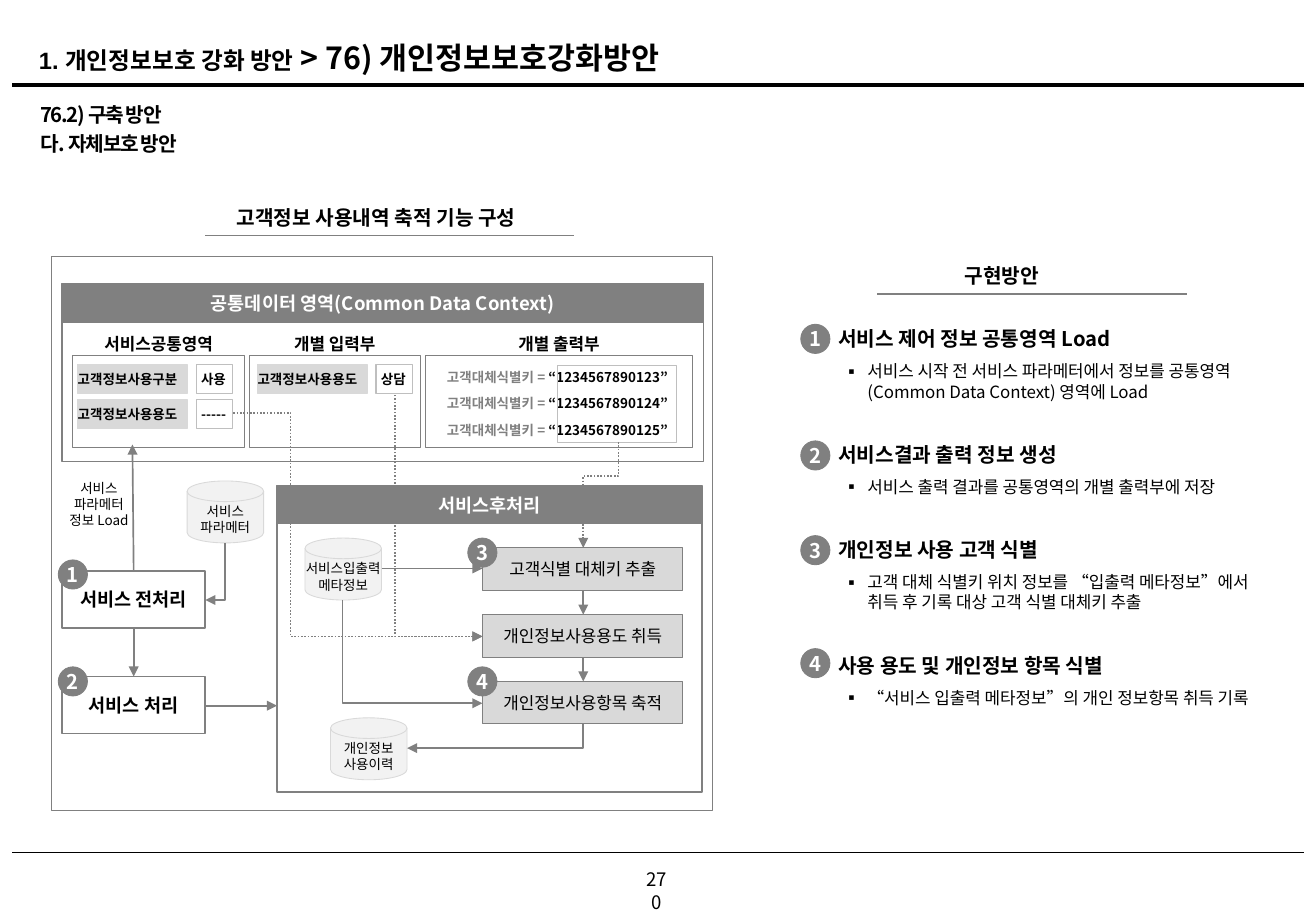
from lxml import etree
from pptx import Presentation
from pptx.dml.color import RGBColor
from pptx.enum.dml import MSO_LINE
from pptx.enum.shapes import MSO_CONNECTOR, MSO_SHAPE
from pptx.enum.text import MSO_ANCHOR, MSO_AUTO_SIZE, PP_ALIGN
from pptx.oxml.ns import qn
from pptx.util import Inches, Pt

LEFT, CENTER = PP_ALIGN.LEFT, PP_ALIGN.CENTER
TOP, MIDDLE = MSO_ANCHOR.TOP, MSO_ANCHOR.MIDDLE
RECTANGLE, OVAL, CAN = MSO_SHAPE.RECTANGLE, MSO_SHAPE.OVAL, MSO_SHAPE.FLOWCHART_MAGNETIC_DISK
STRAIGHT, ELBOW = MSO_CONNECTOR.STRAIGHT, MSO_CONNECTOR.ELBOW
DOTTED = MSO_LINE.ROUND_DOT
COLORS = {"black": "000000", "white": "FFFFFF", "gray": "808080",
          "silver": "BFBFBF", "light": "D9D9D9", "pale": "F2F2F2"}
FONT, LATIN_FONT = "Noto Sans CJK KR", "Arial"
COLUMNS, ROWS = 108.3, 75


def color(name):
    return RGBColor.from_string(COLORS[name])


class Board:
    def __init__(self, presentation):
        self.slide = presentation.slides.add_slide(presentation.slide_layouts[5])
        self.shapes = self.slide.shapes
        self.column = presentation.slide_width / COLUMNS
        self.row = presentation.slide_height / ROWS

    def place(self, *values):
        units = (self.column, self.row) * 2
        return [round(value * unit) for value, unit in zip(values, units)]

    def style(self, run, size, ink="black", bold=False, font=FONT):
        run.font.name = font
        run.font.size = Pt(size)
        run.font.bold = bold
        run.font.color.rgb = color(ink)
        etree.SubElement(run.font._element, qn("a:ea")).set("typeface", font)

    def label(self, shape, lines, size, ink="black", bold=False, align=CENTER,
              anchor=TOP, wrap=False, inset=1, before=0):
        frame = shape.text_frame
        frame.auto_size = MSO_AUTO_SIZE.NONE
        frame.word_wrap = wrap
        frame.vertical_anchor = anchor
        frame.margin_left = frame.margin_right = round(inset * self.column)
        frame.text = "\n".join(lines)
        for index, paragraph in enumerate(frame.paragraphs):
            paragraph.alignment = align
            paragraph.space_before = Pt(before if index else 0)
            for run in paragraph.runs:
                self.style(run, size, ink, bold)
        return frame

    def text(self, box, lines, size, **options):
        return self.label(self.shapes.add_textbox(*self.place(*box)), lines, size, **options)

    def shape(self, box, fill=None, line="gray", width=0.5, kind=RECTANGLE):
        shape = self.shapes.add_shape(kind, *self.place(*box))
        shape.shadow.inherit = False
        if fill:
            shape.fill.solid()
            shape.fill.fore_color.rgb = color(fill)
        else:
            shape.fill.background()
        shape.line.color.rgb = color(line)
        shape.line.width = Pt(width)
        return shape

    def box(self, box, caption, size, fill=None, width=0.5, ink="black", bold=False):
        self.label(self.shape(box, fill, width=width), [caption], size, ink=ink,
                   bold=bold, anchor=MIDDLE, wrap=True)

    def field(self, left, top, caption, value):
        name = self.shape((left, top, 9, 2.4), "light", "light", 0.75)
        self.label(name, [caption], 8, bold=True, align=LEFT, anchor=MIDDLE, inset=0)
        entry = self.shape((left + 9.75, top, 3, 2.4), None, "silver", 0.75)
        self.label(entry, [value], 8, bold=True, align=LEFT, anchor=MIDDLE, inset=0.4)

    def badge(self, left, top, number):
        circle = self.shape((left, top, 2.4, 2.4), "gray", kind=OVAL)
        self.label(circle, [str(number)], 12, ink="white", bold=True, anchor=MIDDLE, inset=0)

    def cylinder(self, left, top, lines):
        self.shape((left, top, 6.3, 5.1), "pale", "light", kind=CAN)
        self.text((left - 1.2, top + 1.35, 8.7, 3.7), lines, 8)

    def line(self, start, end, width=1, ink="gray", arrow=None, dash=None, kind=STRAIGHT):
        connector = self.shapes.add_connector(kind, *self.place(*start, *end))
        connector.line.color.rgb = color(ink)
        connector.line.width = Pt(width)
        if dash:
            connector.line.dash_style = dash
        properties = connector._element.spPr
        if arrow:
            etree.SubElement(properties.find(qn("a:ln")), qn("a:" + arrow)).set("type", "triangle")
        etree.SubElement(properties, qn("a:effectLst"))
        return properties

    def arrow(self, start, end):
        self.line(start, end, arrow="tailEnd")

    def corner(self, start, end, dash=None):
        properties = self.line(end, start, arrow="headEnd", dash=dash, kind=ELBOW)
        properties.find(qn("a:prstGeom")).set("prst", "bentConnector2")

    def step(self, start, end, share, vertical=False):
        if vertical:
            middle_x, middle_y = (start[0] + end[0]) / 2, (start[1] + end[1]) / 2
            reach, drop = (end[1] - start[1]) / 2, (start[0] - end[0]) / 2
            start, end = (middle_x - reach, middle_y - drop), (middle_x + reach, middle_y + drop)
        properties = self.line(start, end, arrow="tailEnd", dash=DOTTED, kind=ELBOW)
        if vertical:
            properties.find(qn("a:xfrm")).set("rot", "5400000")
        guides = properties.find(qn("a:prstGeom")).find(qn("a:avLst"))
        guide = etree.SubElement(guides, qn("a:gd"))
        guide.set("name", "adj1")
        guide.set("fmla", f"val {round(share * 100000)}")

    def title(self, box, parts):
        title = self.shapes.title
        title.left, title.top, title.width, title.height = self.place(*box)
        frame = self.label(title, [""], 18, align=LEFT, wrap=True)
        paragraph = frame.paragraphs[0]
        paragraph.line_spacing = 1.2
        for caption, size, font in parts:
            run = paragraph.add_run()
            run.text = caption
            self.style(run, size, bold=True, font=font)

    def plan(self, box, items):
        lines = [line for item in items for line in item]
        frame = self.text(box, lines, 10, align=LEFT, wrap=True, before=6)
        for index, paragraph in enumerate(frame.paragraphs):
            detail = index % 2
            properties = paragraph._p.get_or_add_pPr()
            properties.set("marL", str(Inches(0.49 if detail else 0.25)))
            properties.set("indent", str(Inches(-0.2 if detail else 0)))
            if detail:
                etree.SubElement(properties, qn("a:buFont")).set("typeface", FONT)
                etree.SubElement(properties, qn("a:buChar")).set("char", "▪")
                continue
            paragraph.space_before = Pt(24 if index else 0)
            for run in paragraph.runs:
                run.font.size, run.font.bold = Pt(12), True


def main():
    presentation = Presentation()
    presentation.slide_width, presentation.slide_height = Inches(10.83), Inches(7.5)
    board = Board(presentation)

    board.title((2.2, 2.1, 103.9, 3.9), [("1. ", 14, LATIN_FONT), ("개인정보보호 강화 방안", 14, FONT),
                                         (" > 76) 개인정보보호강화방안", 18, FONT)])
    board.line((1, 7), (107.3, 7), 2.75, "black")
    board.line((1, 70.2), (107.3, 70.2), 0.75, "black")
    board.text((52.1, 71, 3.9, 2.9), ["270"], 11, wrap=True)
    subtitle = board.text((2.9, 7.9, 103.9, 6.8), ["76.2) 구축 방안", "다. 자체보호 방안"], 12,
                          bold=True, align=LEFT, wrap=True, inset=0.4, before=2.9)
    for paragraph in subtitle.paragraphs:
        paragraph.runs[0].font._element.set("spc", "-80")

    for left, top, width, caption, start, end in (
            (18.5, 16.4, 28, "고객정보 사용내역 축적 기능 구성", 16.9, 47.2),
            (78.4, 21.2, 8.8, "구현방안", 72.2, 97.7)):
        board.text((left, top, width, 3), [caption], 12, bold=True, align=LEFT)
        board.line((start, top + 3), (end, top + 3))

    board.shape((4.2, 21.1, 54.4, 45.6))
    for left, top, width, height, caption in (
            (5.1, 23.4, 52.8, 14.6, "공통데이터 영역(Common Data Context)"),
            (22.8, 40, 35, 25.2, "서비스후처리")):
        board.shape((left, top, width, height), width=1)
        board.box((left, top, width, 3.1), caption, 11, "gray", 1, "white", True)

    for left, width, caption in ((6, 14.1, "서비스공통영역"), (20.5, 14.1, "개별 입력부"),
                                 (35, 22, "개별 출력부")):
        board.shape((left, 29.3, width, 7.5), "white")
        board.text((left, 27, width, 2.7), [caption], 10, bold=True)
    board.field(6.4, 30, "고객정보사용구분", "사용")
    board.field(6.4, 32.9, "고객정보사용용도", "-----")
    board.field(21.2, 30, "고객정보사용용도", "상담")
    keys = [f"“123456789012{digit}”" for digit in (3, 4, 5)]
    output = board.text((35.8, 29.9, 21, 6.7), ["고객대체식별키 = "] * 3, 8, ink="gray",
                        bold=True, align=LEFT, before=6)
    for paragraph, key in zip(output.paragraphs, keys):
        run = paragraph.add_run()
        run.text = key
        board.style(run, 8, bold=True)
    board.shape((45.9, 30.1, 9.8, 6.3), line="silver")

    for top, caption in ((47, "서비스 전처리"), (55.7, "서비스 처리")):
        board.box((5.1, top, 11.8, 4.7), caption, 11, width=1, bold=True)
    for index, caption in enumerate(("고객식별 대체키 추출", "개인정보사용용도 취득", "개인정보사용항목 축적")):
        board.box((39.7, 45.1 + 5.5 * index, 16.5, 3.5), caption, 10, "light")
    board.cylinder(15.4, 39.6, ["서비스", "파라메터"])
    board.cylinder(25.1, 44.3, ["서비스입출력", "메타정보"])
    board.cylinder(27.2, 59.1, ["개인정보", "사용이력"])
    board.text((4.6, 39, 7.1, 5), ["서비스", "파라메터", "정보 Load"], 8, wrap=True)

    for start, end in (((11, 47), (10.9, 36.6)), ((11, 51.8), (11, 55.7)),
                       ((16.9, 58.1), (22.8, 58.1)), ((48, 48.6), (48, 50.6)),
                       ((48, 54.1), (48, 56.1)), ((31.4, 46.8), (39.7, 46.8))):
        board.arrow(start, end)
    board.corner((18.5, 44.7), (16.9, 49.4))
    board.corner((48, 59.6), (33.5, 61.6))
    board.corner((28.2, 49.4), (39.7, 57.9))
    board.corner((32.5, 32.4), (39.7, 52.4), DOTTED)
    board.step((19.2, 34), (39.7, 52.4), 0.23)
    board.step((50.9, 36.4), (48, 45.1), 0.32, vertical=True)

    board.plan((65.5, 26.4, 40.1, 38), (
        ("서비스 제어 정보 공통영역 Load",
         "서비스 시작 전 서비스 파라메터에서 정보를 공통영역 (Common Data Context) 영역에 Load"),
        ("서비스결과 출력 정보 생성", "서비스 출력 결과를 공통영역의 개별 출력부에 저장"),
        ("개인정보 사용 고객 식별",
         "고객 대체 식별키 위치 정보를 “입출력 메타정보”에서 취득 후 기록 대상 고객 식별 대체키 추출"),
        ("사용 용도 및 개인정보 항목 식별", "“서비스 입출력 메타정보”의 개인 정보항목 취득 기록")))
    for left, top, number in ((65.9, 26.7, 1), (65.9, 36.3, 2), (65.9, 44.1, 3), (65.9, 53.4, 4),
                              (4.8, 46.1, 1), (4.8, 54.9, 2), (38.5, 44.3, 3), (38.5, 54.9, 4)):
        board.badge(left, top, number)

    presentation.save("out.pptx")


if __name__ == "__main__":
    main()
